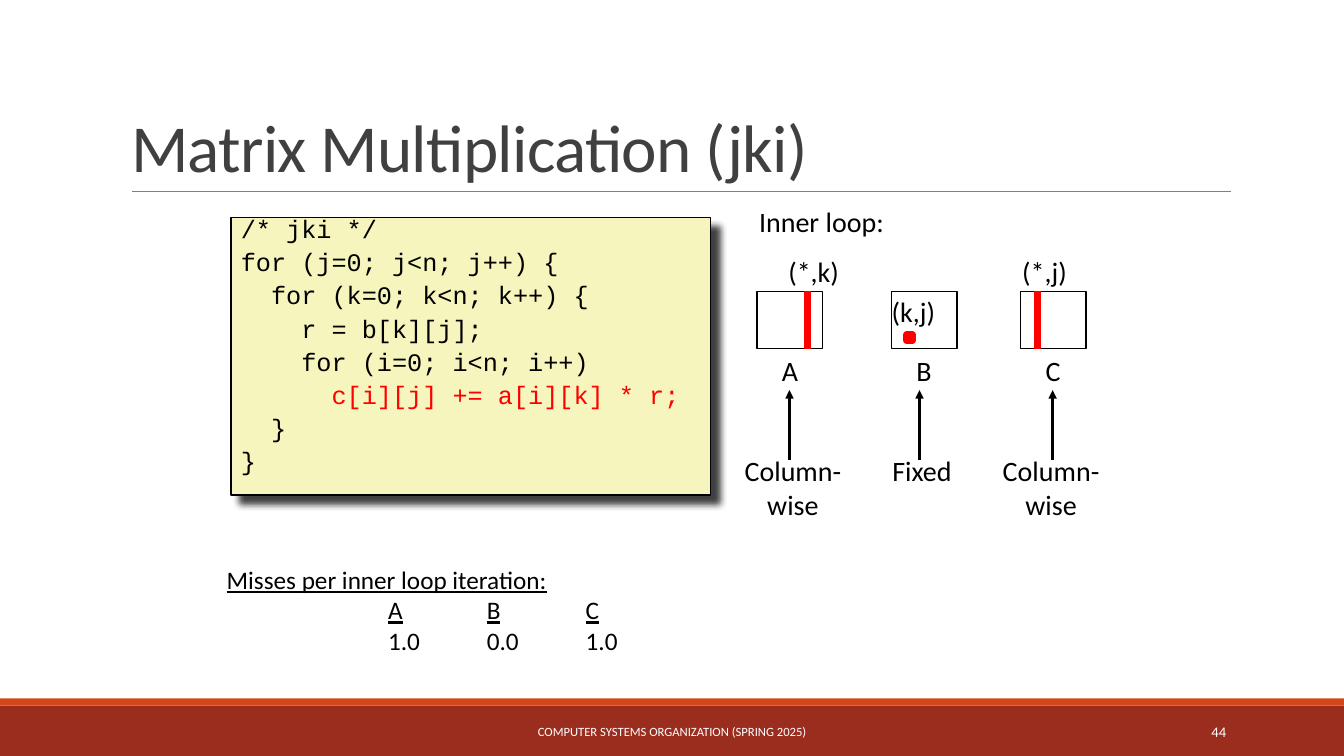
from lxml import etree
from pptx import Presentation
from pptx.dml.color import RGBColor
from pptx.enum import shapes, text
from pptx.oxml import ns
from pptx.util import Inches, Pt

COLORS = {
    "black": "000000", "white": "FFFFFF", "red": "FF0000", "title": "404040",
    "rule": "808080", "code": "F6F5BD", "band": "9B2D1F", "stripe": "D34817",
}
CODE = [
    "/* jki */",
    "for (j=0; j<n; j++) {",
    "  for (k=0; k<n; k++) {",
    "    r = b[k][j];",
    "    for (i=0; i<n; i++)",
    "      c[i][j] += a[i][k] * r;",
    "  }",
    "}",
]
HOT_LINE = 5
MATRIX_WIDTH, MATRIX_HEIGHT = 0.65, 0.57
MATRICES = [
    dict(name="A", left=7.51, index="(*,k)", index_at=(0.56, -0.41), column=0.5,
         arrow=0.32, access=["Column-", "wise"], access_at=0.35),
    dict(name="B", left=8.84, index="(k,j)", index_at=(0.22, -0.02), column=None,
         arrow=0.28, access=["Fixed"], access_at=0.3),
    dict(name="C", left=10.12, index="(*,j)", index_at=(0.24, -0.41), column=0.17,
         arrow=0.32, access=["Column-", "wise"], access_at=0.3),
]


def color(name):
    return RGBColor.from_string(COLORS[name])


def add_element(parent, tag, **attributes):
    return etree.SubElement(parent, ns.qn(tag), {key: str(value) for key, value in attributes.items()})


def format_font(font, size, color_name="black", **values):
    settings = {"name": "Calibri", "size": Pt(size), **values}
    for key, value in settings.items():
        setattr(font, key, value)
    font.color.rgb = color(color_name)


def add_rectangle(slide, left, top, width, height, fill, line=None, line_width=1):
    shape = slide.shapes.add_shape(
        shapes.MSO_SHAPE.RECTANGLE, Inches(left), Inches(top), Inches(width), Inches(height))
    shape.shadow.inherit = False
    shape.fill.solid()
    shape.fill.fore_color.rgb = color(fill)
    if line:
        shape.line.color.rgb = color(line)
        shape.line.width = Pt(line_width)
    else:
        shape.line.fill.background()
    return shape


def add_line(slide, start, end, color_name, width, arrow=False):
    connector = slide.shapes.add_connector(
        shapes.MSO_CONNECTOR.STRAIGHT, *(Inches(value) for value in start + end))
    connector.line.color.rgb = color(color_name)
    connector.line.width = Pt(width)
    if arrow:
        add_element(connector.line._get_or_add_ln(), "a:tailEnd", type="triangle")
    add_element(connector._element.spPr, "a:effectLst")


def add_text(slide, left, top, width, height, lines, size=20, color_name="black",
             align="CENTER", anchor="TOP", wrap=False):
    box = slide.shapes.add_textbox(Inches(left), Inches(top), Inches(width), Inches(height))
    frame = box.text_frame
    frame.word_wrap = wrap
    frame.vertical_anchor = text.MSO_ANCHOR[anchor]
    frame.text = "\n".join(lines)
    for paragraph in frame.paragraphs:
        paragraph.alignment = text.PP_ALIGN[align]
        for run in paragraph.runs:
            format_font(run.font, size, color_name)


def add_title(slide, left, top, width, height):
    title = slide.shapes.title
    title.left, title.top, title.width, title.height = map(Inches, (left, top, width, height))
    frame = title.text_frame
    frame.text = "Matrix Multiplication (jki)"
    frame.auto_size = text.MSO_AUTO_SIZE.NONE
    frame.vertical_anchor = text.MSO_ANCHOR.BOTTOM
    paragraph = frame.paragraphs[0]
    paragraph.alignment = text.PP_ALIGN.LEFT
    paragraph.line_spacing = 0.85
    run = paragraph.runs[0]
    format_font(run.font, 48, "title")
    run._r.get_or_add_rPr().set("spc", "-50")
    rule = top + height
    add_line(slide, (left + 0.11, rule), (left + width + 0.01, rule), "rule", 0.5)


def add_code(slide, left, top, width, height):
    shape = add_rectangle(slide, left, top, width, height, "code", "black")
    effects = shape._element.spPr.find(ns.qn("a:effectLst"))
    shadow = add_element(effects, "a:outerShdw", blurRad=Pt(5), dist=Pt(8.5),
                         dir=45 * 60000, algn="tl", rotWithShape=0)
    shade = add_element(shadow, "a:srgbClr", val=COLORS["black"])
    add_element(shade, "a:alpha", val=75000)
    frame = shape.text_frame
    frame.word_wrap = True
    frame.vertical_anchor = text.MSO_ANCHOR.TOP
    frame.text = "\n".join(CODE)
    for number, paragraph in enumerate(frame.paragraphs):
        paragraph.alignment = text.PP_ALIGN.LEFT
        paragraph.line_spacing = 0.65
        if number:
            paragraph.space_before = Pt(9.7)
        format_font(paragraph.runs[0].font, 18, "red" if number == HOT_LINE else "black",
                    name="Courier New")


def add_matrix(slide, top, matrix):
    left = matrix["left"]
    middle = left + MATRIX_WIDTH / 2
    bottom = top + MATRIX_HEIGHT
    add_rectangle(slide, left, top, MATRIX_WIDTH, MATRIX_HEIGHT, "white", "black")
    if matrix["column"] is None:
        add_rectangle(slide, left + 0.15, top + 0.43, 0.06, 0.06, "red", "red", 4.5)
    else:
        x = left + matrix["column"]
        add_line(slide, (x, bottom), (x, top), "red", 4.5)
    index_x, index_y = matrix["index_at"]
    add_text(slide, left + index_x - 0.35, top + index_y, 0.7, 0.43, [matrix["index"]])
    add_text(slide, middle - 0.18, bottom, 0.36, 0.43, [matrix["name"]])
    x = left + matrix["arrow"]
    add_line(slide, (x, bottom + 1.1), (x, bottom + 0.41), "black", 2, arrow=True)
    access = matrix["access"]
    add_text(slide, left + matrix["access_at"] - 0.58, bottom + 0.99, 1.17,
             0.09 + 0.34 * len(access), access)


def add_inner_loop(slide, left, top):
    add_text(slide, left, top, 1.45, 0.43, ["Inner loop:"], align="LEFT")
    for matrix in MATRICES:
        add_matrix(slide, top + 0.91, matrix)


def add_misses(slide, left, top, width, height):
    box = slide.shapes.add_textbox(Inches(left), Inches(top), Inches(width), Inches(height))
    frame = box.text_frame
    frame.word_wrap = True
    rows = [(["Misses per inner loop iteration:"], True),
            (["A", "B", "C"], True),
            (["1.0", "0.0", "1.0"], False)]
    for number, (cells, underline) in enumerate(rows):
        paragraph = frame.add_paragraph() if number else frame.paragraphs[0]
        if number:
            tabs = add_element(paragraph._p.get_or_add_pPr(), "a:tabLst")
            for column in range(len(cells)):
                add_element(tabs, "a:tab", pos=Inches(1.6 + 0.98 * column), algn="l")
        for cell in cells:
            if number:
                tab = paragraph.add_run()
                tab.text = "\t"
                format_font(tab.font, 18)
            run = paragraph.add_run()
            run.text = cell
            format_font(run.font, 18, underline=underline)


def add_footer(slide, top, width, height):
    add_rectangle(slide, 0, top, width, height, "band")
    add_rectangle(slide, 0, top - 0.07, width, 0.07, "stripe")
    add_text(slide, 4.03, top + 0.06, 5.27, 0.4, ["COMPUTER SYSTEMS ORGANIZATION (SPRING 2025)"],
             9, "white", anchor="MIDDLE", wrap=True)
    add_text(slide, 10.83, top + 0.06, 1.43, 0.4, ["44"],
             10.5, "white", "RIGHT", "MIDDLE", True)


def main():
    presentation = Presentation()
    presentation.slide_width, presentation.slide_height = Inches(13.33), Inches(7.5)
    slide = presentation.slides.add_slide(presentation.slide_layouts[5])
    add_footer(slide, 7, 13.33, 0.5)
    add_title(slide, 1.2, 0.31, 11, 1.59)
    add_code(slide, 2.29, 2.16, 4.76, 2.75)
    add_inner_loop(slide, 7.43, 1.98)
    add_misses(slide, 2.15, 5.55, 6.01, 1.34)
    presentation.save("out.pptx")


if __name__ == "__main__":
    main()
